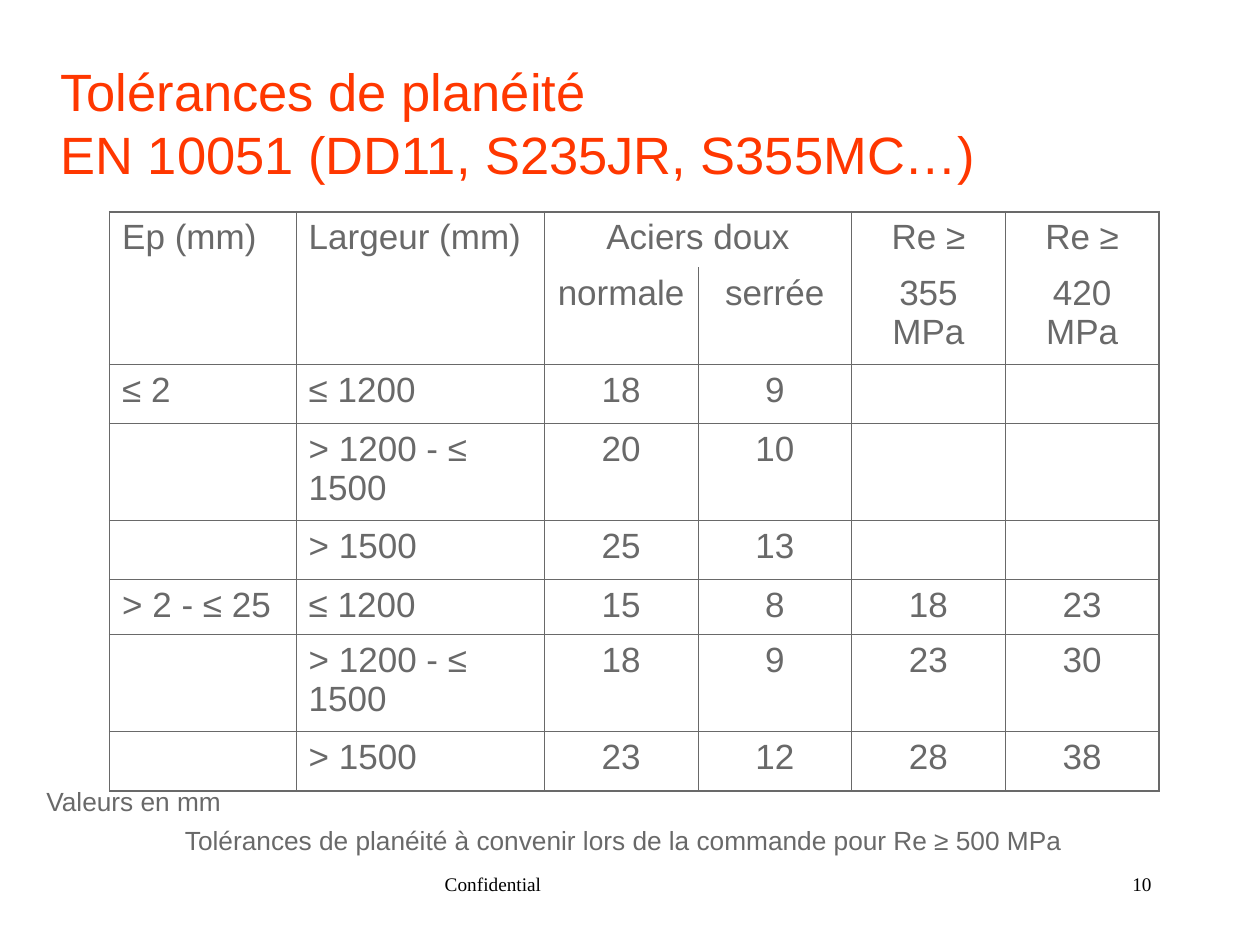
from dataclasses import dataclass

from lxml import etree
from pptx import Presentation
from pptx import util as u
from pptx.dml.color import RGBColor
from pptx.enum import text
from pptx.oxml.ns import qn

WIDTH, HEIGHT = 10, 7.5
GREY, ORANGE, BLACK = "696969", "FF3700", "000000"
LEFT, CENTER, RIGHT = text.PP_ALIGN.LEFT, text.PP_ALIGN.CENTER, text.PP_ALIGN.RIGHT
THIN, THICK = 0.45, 1.08

COLUMNS = [1.48, 1.97] + [1.22] * 4
SHORT, MEDIUM, TALL = 0.44, 0.47, 0.77
ROWS = [SHORT, TALL, MEDIUM, TALL, MEDIUM, SHORT, TALL, MEDIUM]
HEADER_ROWS = 2
TOLERANCES = [
    ["Ep (mm)", "Largeur (mm)", "Aciers doux", "", "Re ≥", "Re ≥"],
    ["", "", "normale", "serrée", "355 MPa", "420 MPa"],
    ["≤ 2", "≤ 1200", "18", "9", "", ""],
    ["", "> 1200 - ≤ 1500", "20", "10", "", ""],
    ["", "> 1500", "25", "13", "", ""],
    ["> 2 - ≤ 25", "≤ 1200", "15", "8", "18", "23"],
    ["", "> 1200 - ≤ 1500", "18", "9", "23", "30"],
    ["", "> 1500", "23", "12", "28", "38"],
]


@dataclass
class Style:
    size: float
    color: str
    font: str = "Arial"
    align: text.PP_ALIGN = LEFT


@dataclass
class Label:
    words: str
    left: float
    top: float
    width: float
    height: float
    style: Style
    margins: tuple = (0, 0)
    anchor: text.MSO_ANCHOR = text.MSO_ANCHOR.TOP


NOTE = Style(15, GREY)
FOOTER = Style(11, BLACK, "Times New Roman")
PAGE_NUMBER = Style(11, BLACK, "Times New Roman", RIGHT)

LABELS = [
    Label("Tolérances de planéité\vEN 10051 (DD11, S235JR, S355MC…)",
          0.48, 0.6, 9.01, 0.87, Style(30, ORANGE), anchor=text.MSO_ANCHOR.BOTTOM),
    Label("Tolérances de planéité à convenir lors de la commande pour Re ≥ 500 MPa",
          1.37, 6.49, 7.5, 0.35, NOTE, (0.1, 0.05)),
    Label("Valeurs en mm", 0.27, 6.18, 1.67, 0.35, NOTE, (0.1, 0.05)),
    Label("Confidential", 3.53, 6.92, 3.17, 0.3, FOOTER),
    Label("10", 7.06, 6.92, 2.08, 0.3, PAGE_NUMBER),
]


def rgb(color: str) -> RGBColor:
    return RGBColor.from_string(color)


def write(frame, words: str, style: Style) -> None:
    para = frame.paragraphs[0]
    para.text = words
    para.alignment = style.align
    for span in para.runs:
        span.font.size = u.Pt(style.size)
        span.font.name = style.font
        span.font.color.rgb = rgb(style.color)


def add_label(page, label: Label) -> None:
    box = page.shapes.add_textbox(*map(u.Inches, (label.left, label.top,
                                                  label.width, label.height)))
    frame = box.text_frame
    frame.word_wrap = True
    frame.vertical_anchor = label.anchor
    side, end = map(u.Inches, label.margins)
    frame.margin_left = frame.margin_right = side
    frame.margin_top = frame.margin_bottom = end
    write(frame, label.words, label.style)


def set_borders(cell, widths: dict) -> None:
    """Draw the four sides of a cell; a width of 0 hides the side."""
    properties = cell._tc.get_or_add_tcPr()
    for position, side in enumerate("LRTB"):
        line = etree.Element(qn(f"a:ln{side}"), w=str(int(u.Pt(widths[side]))))
        if widths[side]:
            fill = etree.SubElement(line, qn("a:solidFill"))
            etree.SubElement(fill, qn("a:srgbClr"), val=GREY)
        else:
            etree.SubElement(line, qn("a:noFill"))
        properties.insert(position, line)


def border_widths(row: int, column: int) -> dict:
    """Thick outline, thin grid, and no line between the header rows."""
    top = THICK if row == 0 else 0 if row < HEADER_ROWS else THIN
    bottom = THICK if row == len(ROWS) - 1 else 0 if row < HEADER_ROWS - 1 else THIN
    return {"L": THICK if column == 0 else THIN,
            "R": THICK if column == len(COLUMNS) - 1 else THIN,
            "T": top, "B": bottom}


def add_tolerance_table(page) -> None:
    area = map(u.Inches, (0.87, 1.68, sum(COLUMNS), sum(ROWS)))
    table = page.shapes.add_table(len(ROWS), len(COLUMNS), *area).table
    table.first_row = table.horz_banding = False
    for column, width in zip(table.columns, COLUMNS):
        column.width = u.Inches(width)
    for row, height in zip(table.rows, ROWS):
        row.height = u.Inches(height)
    for r, values in enumerate(TOLERANCES):
        for c, value in enumerate(values):
            cell = table.cell(r, c)
            cell.fill.background()
            set_borders(cell, border_widths(r, c))
            if value:
                write(cell.text_frame, value,
                      Style(20, GREY, align=LEFT if c < 2 else CENTER))
    # "Aciers doux" covers both flatness classes
    table.cell(0, 2).merge(table.cell(0, 3))


def main() -> None:
    deck = Presentation()
    deck.slide_width, deck.slide_height = u.Inches(WIDTH), u.Inches(HEIGHT)
    page = deck.slides.add_slide(deck.slide_layouts[6])
    # Title first, then the table, then notes and footer
    add_label(page, LABELS[0])
    add_tolerance_table(page)
    for label in LABELS[1:]:
        add_label(page, label)
    deck.save("out.pptx")


if __name__ == "__main__":
    main()
